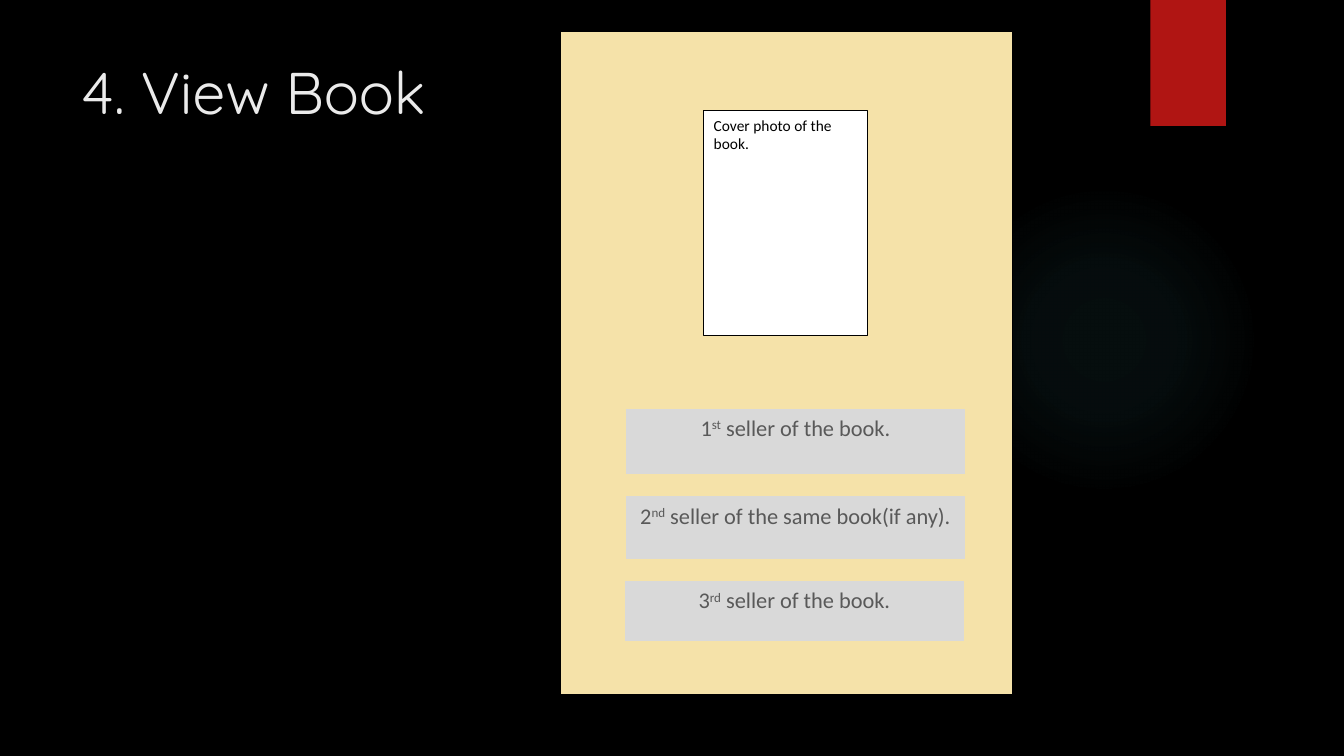
from lxml import etree
from pptx import Presentation
from pptx.dml.color import RGBColor
from pptx.enum import shapes, text
from pptx.oxml import parse_xml
from pptx.oxml.ns import nsdecls
from pptx.util import Inches, Pt

RECT = shapes.MSO_SHAPE.RECTANGLE
LEFT, MID = text.PP_ALIGN.LEFT, text.PP_ALIGN.CENTER


def add_box(place, fill, line=None, kind=RECT):
    box = slide.shapes.add_shape(kind, *map(Inches, place))
    box.shadow.inherit = False
    box.fill.solid()
    box.fill.fore_color.rgb = RGBColor.from_string(fill)
    if line:
        box.line.color.rgb = RGBColor.from_string(line)
        box.line.width = Pt(0.75)
    else:
        box.line.fill.background()
    return box


def write(box, parts, size, face, color, align=LEFT):
    """Fill a box with runs; every second part is superscript."""
    frame = box.text_frame
    frame.word_wrap = True
    frame.vertical_anchor = text.MSO_ANCHOR.TOP
    para = frame.paragraphs[0]
    para.alignment = align
    for i, part in enumerate(parts):
        run = para.add_run()
        run.text = part
        for key, value in {"size": Pt(size), "name": face}.items():
            setattr(run.font, key, value)
        run.font.color.rgb = RGBColor.from_string(color)
        if i % 2:
            run._r.get_or_add_rPr().set("baseline", "30000")


deck = Presentation()
deck.slide_width, deck.slide_height = Inches(13.33), Inches(7.5)
slide = deck.slides.add_slide(deck.slide_layouts[6])
slide.background.fill.solid()
slide.background.fill.fore_color.rgb = RGBColor.from_string("000000")

# Soft round glow
glow = add_box((9.41, 1.83, 3.08, 3.08), "50B9C1", kind=shapes.MSO_SHAPE.OVAL)
stops = "".join(
    f'<a:gs pos="{pos}000"><a:srgbClr val="50B9C1">'
    f'<a:alpha val="{alpha}000"/></a:srgbClr></a:gs>'
    for pos, alpha in ((0, 7), (36, 6), (69, 0))
)
fade = parse_xml(
    f'<a:gradFill {nsdecls("a")}><a:gsLst>{stops}</a:gsLst><a:path path="circle">'
    '<a:fillToRect l="50000" t="50000" r="50000" b="50000"/></a:path></a:gradFill>'
)
props = glow._element.spPr
props.replace(props.find("{*}solidFill"), fade)

# Ribbon and title
add_box((11.41, 0, 0.75, 1.25), "B01513")
title = slide.shapes.add_textbox(*map(Inches, (0.71, 0.5, 10.29, 1.53)))
write(title, ["4. View Book"], 42, "Quicksand", "EBEBEB")

# Book page
add_box((5.56, 0.31, 4.48, 6.58), "F5E2A9", "000000")
cover = add_box((6.98, 1.1, 1.62, 2.23), "FFFFFF", "000000")
write(cover, ["Cover photo of the book."], 11, "Calibri", "000000")

# Sellers
sellers = (
    (6.21, 4.06, 0.64, ("1", "st", " seller of the book.")),
    (6.21, 4.93, 0.61, ("2", "nd", " seller of the same book(if any).")),
    (6.2, 5.77, 0.58, ("3", "rd", " seller of the book.")),
)
for left, top, high, parts in sellers:
    bar = add_box((left, top, 3.36, high), "D9D9D9", "D9D9D9")
    write(bar, parts, 16, "Calibri", "595959", MID)

deck.save("out.pptx")
